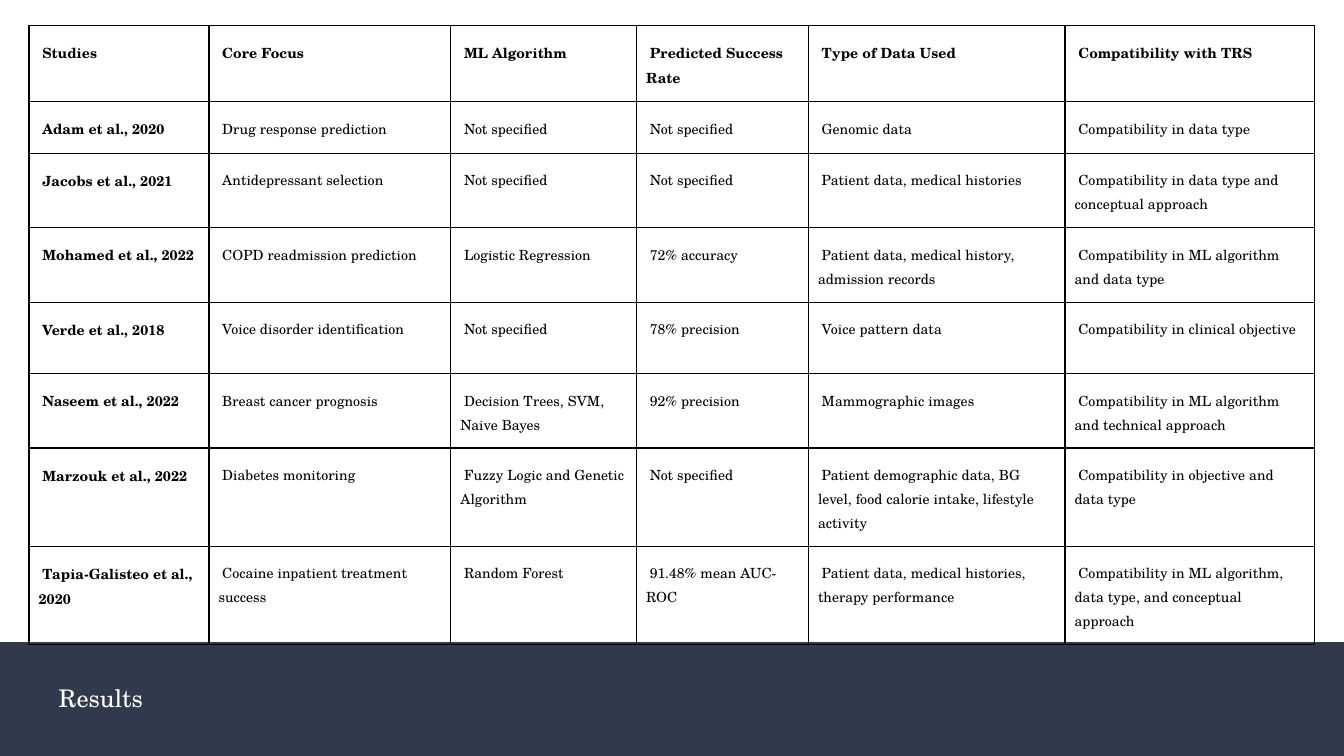
from lxml.etree import SubElement
from pptx import Presentation
from pptx.dml.color import RGBColor
from pptx.enum.shapes import MSO_SHAPE
from pptx.enum.text import MSO_ANCHOR, MSO_AUTO_SIZE, PP_ALIGN
from pptx.oxml.ns import qn
from pptx.util import Cm, Pt

HEADING = "Results"
STUDIES = [
    ("Studies", "Core Focus", "ML Algorithm", "Predicted Success Rate",
     "Type of Data Used", "Compatibility with TRS"),
    ("Adam et al., 2020", "Drug response prediction", "Not specified", "Not specified",
     "Genomic data", "Compatibility in data type"),
    ("Jacobs et al., 2021", "Antidepressant selection", "Not specified", "Not specified",
     "Patient data, medical histories", "Compatibility in data type and conceptual approach"),
    ("Mohamed et al., 2022", "COPD readmission prediction", "Logistic Regression", "72% accuracy",
     "Patient data, medical history, admission records",
     "Compatibility in ML algorithm and data type"),
    ("Verde et al., 2018", "Voice disorder identification", "Not specified", "78% precision",
     "Voice pattern data", "Compatibility in clinical objective"),
    ("Naseem et al., 2022", "Breast cancer prognosis", "Decision Trees, SVM, Naive Bayes",
     "92% precision", "Mammographic images",
     "Compatibility in ML algorithm and technical approach"),
    ("Marzouk et al., 2022", "Diabetes monitoring", "Fuzzy Logic and Genetic Algorithm",
     "Not specified", "Patient demographic data, BG level, food calorie intake, lifestyle activity",
     "Compatibility in objective and data type"),
    ("Tapia-Galisteo et al., 2020", "Cocaine inpatient treatment success", "Random Forest",
     "91.48% mean AUC-ROC", "Patient data, medical histories, therapy performance",
     "Compatibility in ML algorithm, data type, and conceptual approach"),
]
COLUMN_WIDTHS = [3.4, 4.57, 3.51, 3.25, 4.85, 4.72]
ROW_HEIGHTS = [1.35, 0.91, 1.35, 1.35, 1.35, 1.35, 1.78, 1.78]
SLIDE_WIDTH, SLIDE_HEIGHT, BAND_HEIGHT = 25.4, 14.29, 2.15
FONT = "TeX Gyre Schola"
BLACK, WHITE, NAVY = "000000", "FFFFFF", "31394D"


def color(hex_code):
    return RGBColor.from_string(hex_code)


def write(frame, text, size, ink, bold=False, spacing=1.0, indent=0, margins=(0.25, 0.25)):
    frame.word_wrap = True
    frame.margin_left = frame.margin_right = Cm(margins[0])
    frame.margin_top = frame.margin_bottom = Cm(margins[1])
    paragraph = frame.paragraphs[0]
    paragraph.alignment = PP_ALIGN.LEFT
    paragraph.line_spacing = spacing
    properties = paragraph._p.get_or_add_pPr()
    properties.set("marL", "0")
    properties.set("indent", str(Cm(indent)))
    run = paragraph.add_run()
    run.text = text
    run.font.name, run.font.size, run.font.bold = FONT, Pt(size), bold
    run.font.color.rgb = color(ink)


def outline(cell):
    properties = cell._tc.get_or_add_tcPr()
    for side in ("a:lnL", "a:lnR", "a:lnT", "a:lnB"):
        border = SubElement(properties, qn(side), w=str(Pt(0.75)))
        SubElement(SubElement(border, qn("a:solidFill")), qn("a:srgbClr"), val=BLACK)


def add_studies(slide):
    table = slide.shapes.add_table(
        len(STUDIES), len(COLUMN_WIDTHS), Cm(0.55), Cm(0.48),
        Cm(sum(COLUMN_WIDTHS)), Cm(sum(ROW_HEIGHTS))).table
    table.first_row = table.horz_banding = False
    for column, width in zip(table.columns, COLUMN_WIDTHS):
        column.width = Cm(width)
    for r, (study, height) in enumerate(zip(STUDIES, ROW_HEIGHTS)):
        table.rows[r].height = Cm(height)
        for c, text in enumerate(study):
            cell = table.cell(r, c)
            write(cell.text_frame, text, 7.5, BLACK, bold=r == 0 or c == 0,
                  spacing=1.15, indent=0.07)
            cell.margin_left = cell.margin_right = Cm(0.18)
            cell.margin_top = cell.margin_bottom = Cm(0.25)
            outline(cell)
            cell.fill.background()


def add_heading(slide):
    heading = slide.shapes.title
    heading.left, heading.top, heading.width, heading.height = Cm(0.86), Cm(12.55), Cm(22.17), Cm(1.27)
    write(heading.text_frame, HEADING, 13, WHITE)
    heading.text_frame.vertical_anchor = MSO_ANCHOR.MIDDLE
    heading.text_frame.auto_size = MSO_AUTO_SIZE.NONE
    band = slide.shapes.add_shape(
        MSO_SHAPE.RECTANGLE, 0, Cm(SLIDE_HEIGHT - BAND_HEIGHT), Cm(SLIDE_WIDTH), Cm(BAND_HEIGHT))
    band.shadow.inherit = False
    band.fill.solid()
    band.fill.fore_color.rgb = color(NAVY)
    band.line.fill.background()
    heading.element.addprevious(band.element)


def main():
    """Build the results slide: a table of studies above a heading band."""
    deck = Presentation()
    deck.slide_width, deck.slide_height = Cm(SLIDE_WIDTH), Cm(SLIDE_HEIGHT)
    slide = deck.slides.add_slide(deck.slide_layouts[5])
    add_heading(slide)
    add_studies(slide)
    deck.save("out.pptx")


if __name__ == "__main__":
    main()
